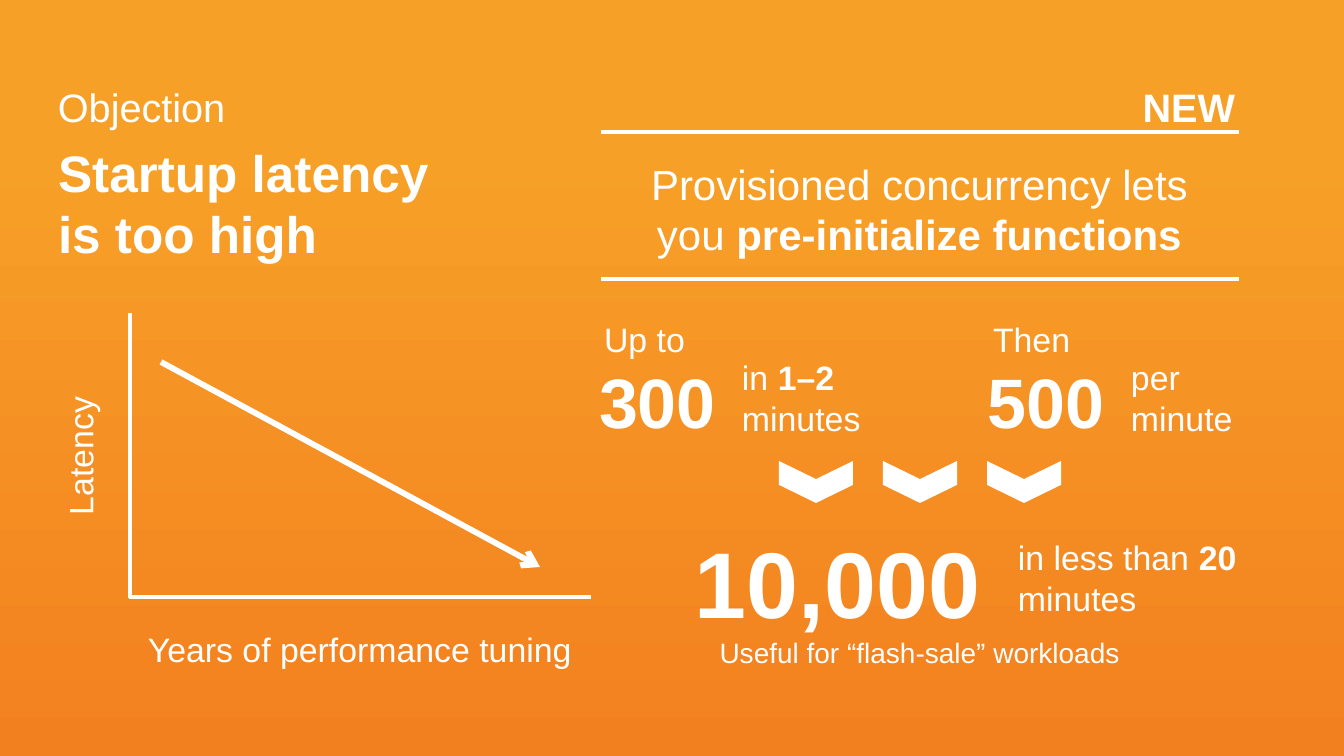
from dataclasses import dataclass

from lxml import etree
from pptx import Presentation
from pptx.dml.color import RGBColor
from pptx.enum.shapes import MSO_CONNECTOR, MSO_SHAPE
from pptx.enum.text import MSO_ANCHOR, MSO_AUTO_SIZE, PP_ALIGN
from pptx.oxml.ns import qn
from pptx.util import Emu, Pt

LEFT, CENTER, RIGHT = PP_ALIGN.LEFT, PP_ALIGN.CENTER, PP_ALIGN.RIGHT
TOP = MSO_ANCHOR.TOP
NO_FIT = MSO_AUTO_SIZE.NONE
STRAIGHT = MSO_CONNECTOR.STRAIGHT
CHEVRON = MSO_SHAPE.CHEVRON
TITLE_ONLY = 5


@dataclass
class Theme:
    """Colours, font, type sizes and line widths."""
    font: str = "Arial"
    ink: RGBColor = RGBColor(0xFF, 0xFF, 0xFF)
    sky: RGBColor = RGBColor(0xF7, 0xA0, 0x28)
    ground: RGBColor = RGBColor(0xF3, 0x80, 0x1F)
    title: int = 44
    kicker: int = 34
    lead: int = 36
    label: int = 29
    note: int = 24
    figure: int = 60
    total: int = 80
    rule: int = 3
    trend: int = 5


class Board:
    """Draws styled elements on one slide, with lengths in px."""

    def __init__(self, slide, theme):
        self.slide = slide
        self.theme = theme

    @staticmethod
    def px(n):
        """Turn px into EMU."""
        return Emu(round(n * 914400 / 84))

    def background(self):
        """Fill the slide from the sky colour down to the ground colour."""
        fill = self.slide.background.fill
        fill.gradient()
        fill.gradient_angle = 270
        stops = ((0.2, self.theme.sky), (1, self.theme.ground))
        for stop, (position, color) in zip(fill.gradient_stops, stops):
            stop.position = position
            stop.color.rgb = color

    def set_text(self, sp, text, size, align):
        """Set text in a shape, with bold parts between asterisks."""
        tf = sp.text_frame
        tf.word_wrap = True
        tf.auto_size = NO_FIT
        tf.vertical_anchor = TOP
        tf.margin_left = tf.margin_right = self.px(8)
        tf.margin_top = tf.margin_bottom = self.px(8)
        p = tf.paragraphs[0]
        p.alignment = align
        for i, part in enumerate(text.split("*")):
            for j, line in enumerate(part.split("\n")):
                if j:
                    p.add_line_break()
                if line:
                    r = p.add_run()
                    r.text = line
                    r.font.name = self.theme.font
                    r.font.size = Pt(size)
                    r.font.bold = i % 2 == 1
                    r.font.color.rgb = self.theme.ink

    def title(self, x, y, w, h, text):
        """Place and format the title placeholder."""
        sp = self.slide.shapes.title
        sp.left, sp.top, sp.width, sp.height = map(self.px, (x, y, w, h))
        self.set_text(sp, text, self.theme.title, LEFT)

    def text(self, x, y, w, h, text, size, align=LEFT, rotation=0):
        """Add a text box."""
        sp = self.slide.shapes.add_textbox(*map(self.px, (x, y, w, h)))
        sp.rotation = rotation
        self.set_text(sp, text, size, align)

    def line(self, x1, y1, x2, y2, width, arrow=False):
        """Add a straight line, with an arrowhead at its end if wanted."""
        sp = self.slide.shapes.add_connector(STRAIGHT, *map(self.px, (x1, y1, x2, y2)))
        sp.line.color.rgb = self.theme.ink
        sp.line.width = Pt(width)
        props = sp._element.spPr
        if arrow:
            etree.SubElement(props.find(qn("a:ln")), qn("a:tailEnd"), type="arrow")
        etree.SubElement(props, qn("a:effectLst"))

    def chevrons(self, x, y, w, h, count, step):
        """Add a grouped row of chevrons that point down."""
        group = self.slide.shapes.add_group_shape()
        for i in range(count):
            box = map(self.px, (x + i * step, y, w, h))
            sp = group.shapes.add_shape(CHEVRON, *box)
            sp.rotation = 90
            sp.adjustments[0] = 0.43
            sp.shadow.inherit = False
            sp.fill.solid()
            sp.fill.fore_color.rgb = self.theme.ink
            sp.line.fill.background()

    def rate(self, x, lead, figure, unit):
        """Add a large figure with a lead-in above and a unit beside it."""
        self.text(x + 5, 311, 171, 49, lead, self.theme.label)
        self.text(x, 350, 224, 87, f"*{figure}*", self.theme.figure)
        self.text(x + 143, 349, 160, 87, unit, self.theme.label)


def main():
    """Build the slide and save it."""
    theme = Theme()
    prs = Presentation()
    prs.slide_width, prs.slide_height = Board.px(1344), Board.px(756)
    board = Board(prs.slides.add_slide(prs.slide_layouts[TITLE_ONLY]), theme)
    board.background()

    board.title(50, 133, 622, 92, "*Startup latency\nis too high*")
    board.text(50, 75, 622, 69, "Objection", theme.kicker)

    board.line(129, 597, 591, 597, theme.rule)
    board.line(130, 598, 130, 313, theme.rule)
    board.line(161, 362, 540, 567, theme.trend, arrow=True)
    board.text(-9, 423, 187, 66, "Latency", theme.label, CENTER, 270)
    board.text(129, 621, 462, 47, "Years of performance tuning", theme.label, CENTER)

    board.text(1110, 75, 133, 51, "*NEW*", theme.kicker, RIGHT)
    for y in (132, 279):
        board.line(601, y, 1239, y, theme.rule)
    board.text(632, 150, 575, 113,
               "Provisioned concurrency lets you *pre-initialize functions*",
               theme.lead, CENTER)

    board.rate(591, "Up to", "300", "in *1–2*\nminutes")
    board.rate(980, "Then", "500", "per\nminute")
    board.chevrons(795, 445, 42, 74, 3, 104)
    board.text(687, 517, 360, 87, "*10,000*", theme.total)
    board.text(1010, 529, 252, 87, "in less than *20*\nminutes", theme.label)
    board.text(653, 627, 533, 47, "Useful for “flash-sale” workloads",
               theme.note, CENTER)

    prs.save("out.pptx")


if __name__ == "__main__":
    main()
